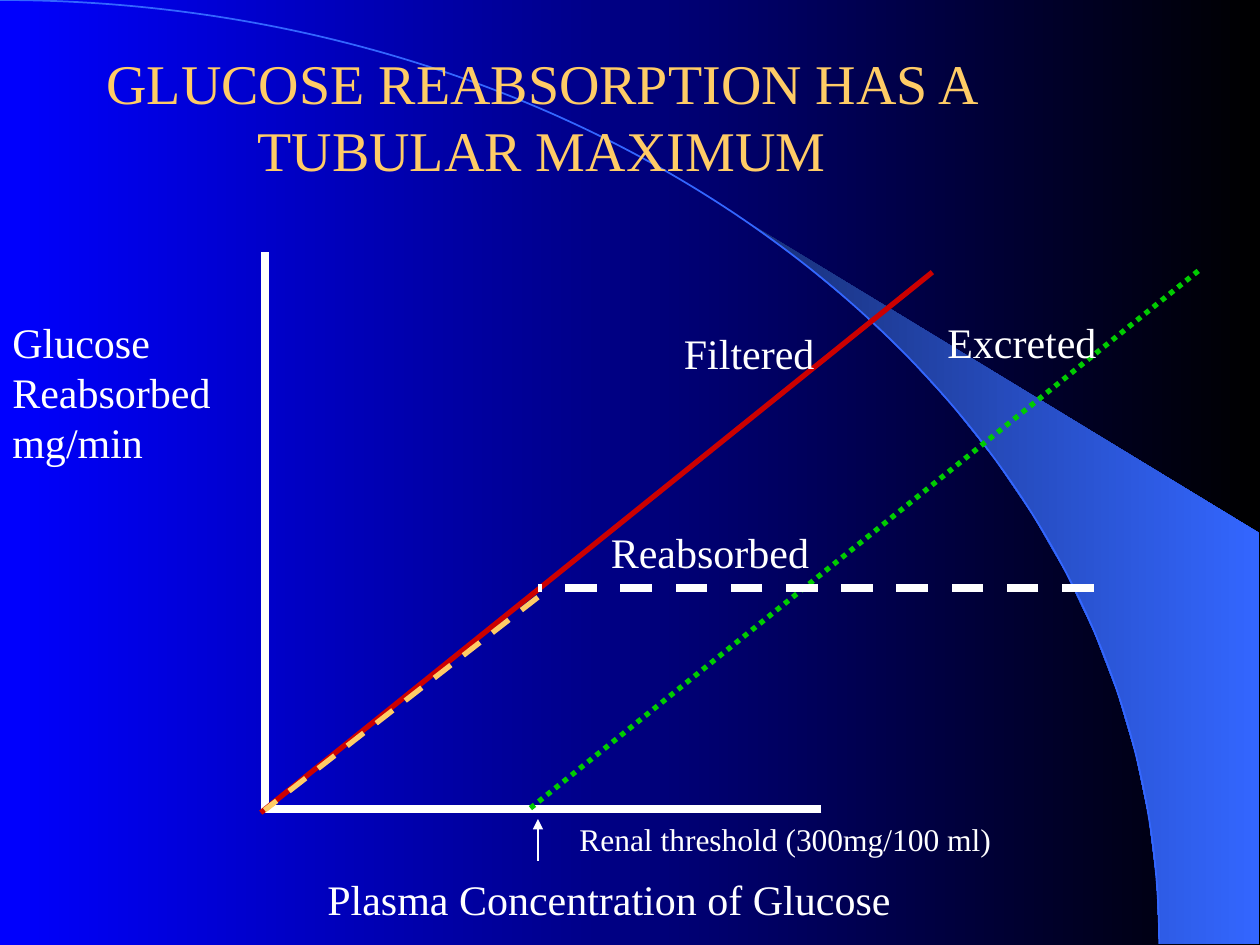
import math
from pptx import Presentation, util as u
from pptx.dml.color import RGBColor
from pptx.enum import dml, shapes, text
from pptx.oxml.ns import qn
from lxml import etree

WHITE, GOLD, SKY = "FFFFFF", "FFCC66", "3366FF"

prs = Presentation()
prs.slide_width, prs.slide_height = u.Inches(10), u.Inches(7.5)
col, row = prs.slide_width / 100, prs.slide_height / 75  # grid of 100 by 75 cells


def rgb(value):
    return RGBColor.from_string(value)


def put_text(tf, lines, size, color):
    tf.text = lines
    for p in tf.paragraphs:
        for r in p.runs:
            r.font.name, r.font.size = "Times New Roman", u.Pt(size)
            r.font.color.rgb = rgb(color)


s = prs.slides.add_slide(prs.slide_layouts[5])

# Title
title = s.shapes.title
title.left, title.top = int(0.5 * col), int(2.5 * row)
title.width, title.height = int(85 * col), int(12.5 * row)
tf = title.text_frame
put_text(tf, "GLUCOSE REABSORPTION HAS A TUBULAR MAXIMUM", 32, GOLD)
tf.word_wrap = True
tf.auto_size = text.MSO_AUTO_SIZE.NONE
tf.vertical_anchor = text.MSO_ANCHOR.BOTTOM
tf.paragraphs[0].alignment = text.PP_ALIGN.CENTER

# Quarter ellipse, and the sail between its lower part and the right edge
rx, ry, steps = 92, 74.9, 13
first, last = math.radians(39.8), math.pi / 2
angles = [first + (last - first) * i / steps for i in range(steps + 1)]
edge = [(rx * math.sin(a), ry * (1 - math.cos(a))) for a in angles]
decor = []
for points, closed in [(edge + [(99.9, ry), (99.9, 42.3)], True), ([(0, 0), (rx, ry)], False)]:
    cells = [(round(x * col), round(y * row)) for x, y in points]
    builder = s.shapes.build_freeform(*cells[0])
    builder.add_line_segments(cells[1:], close=closed)
    sp = builder.convert_to_shape()
    sp.shadow.inherit = False
    decor.append(sp)
sail, arc = decor
sail.line.fill.background()
arc.fill.background()
arc.line.color.rgb, arc.line.width = rgb(SKY), u.Pt(1)

# Bend the arc's single segment into a Bezier curve
segment = next(arc._element.iter(qn("a:lnTo")))
bend = etree.Element(qn("a:cubicBezTo"))
for x, y in [(50.8, 0), (rx, 33.5), (rx, ry)]:
    etree.SubElement(bend, qn("a:pt"), x=str(round(x * col)), y=str(round(y * row)))
segment.getparent().replace(segment, bend)
for sp in reversed(decor):  # behind the title
    s.shapes._spTree.insert(2, sp._element)

# Left-to-right gradients
for fill, stops in [(s.background.fill, ("0000FF", "000000")), (sail.fill, ("182F76", SKY))]:
    fill.gradient()
    fill.gradient_angle = 0
    for stop, color in zip(fill.gradient_stops, stops):
        stop.color.rgb = rgb(color)

# Axes, curves and threshold arrow: from, to, colour, width, dash, arrowhead
DOT, DASH = dml.MSO_LINE.ROUND_DOT, dml.MSO_LINE.DASH
lines = [
    ((21, 20), (21, 64.2), WHITE, 4.5, None, False),
    ((65.2, 64.2), (21, 64.2), WHITE, 4.5, None, False),
    ((74, 21.6), (20.7, 64.5), "CC0000", 3, None, False),
    ((95.1, 21.5), (41.9, 64.3), "00CC00", 3, DOT, False),
    ((86.8, 46.7), (42.7, 46.7), WHITE, 4.5, DASH, False),
    ((42.7, 47.4), (21, 64.3), GOLD, 3, DASH, False),
    ((42.7, 68.3), (42.7, 65), WHITE, 0.75, None, True),
]
for (x1, y1), (x2, y2), color, width, dash, arrow in lines:
    line = s.shapes.add_connector(shapes.MSO_CONNECTOR.STRAIGHT, int(x1 * col), int(y1 * row),
                                  int(x2 * col), int(y2 * row))
    line.line.color.rgb, line.line.width = rgb(color), u.Pt(width)
    if dash:
        line.line.dash_style = dash
    if arrow:
        etree.SubElement(line.line._get_or_add_ln(), qn("a:tailEnd"), type="triangle")
    etree.SubElement(line._element.spPr, qn("a:effectLst"))

# Labels: left, top, width, height, size, wrap, wording
labels = [
    (45, 64.6, 34.7, 4, 18, False, "Renal threshold (300mg/100 ml)"),
    (25, 68.8, 46.7, 5, 24, False, "Plasma Concentration of Glucose"),
    (0, 24.6, 20, 13, 24, True, "Glucose\nReabsorbed\nmg/min"),
    (53.3, 25.5, 15.7, 5, 24, False, "Filtered"),
    (74.2, 24.6, 14, 5, 24, False, "Excreted"),
    (47.5, 41.3, 17.8, 5, 24, False, "Reabsorbed"),
]
for x, y, w, h, size, wrap, wording in labels:
    tf = s.shapes.add_textbox(int(x * col), int(y * row), int(w * col), int(h * row)).text_frame
    put_text(tf, wording, size, WHITE)
    tf.word_wrap = wrap
    tf.auto_size = text.MSO_AUTO_SIZE.SHAPE_TO_FIT_TEXT

prs.save("out.pptx")
